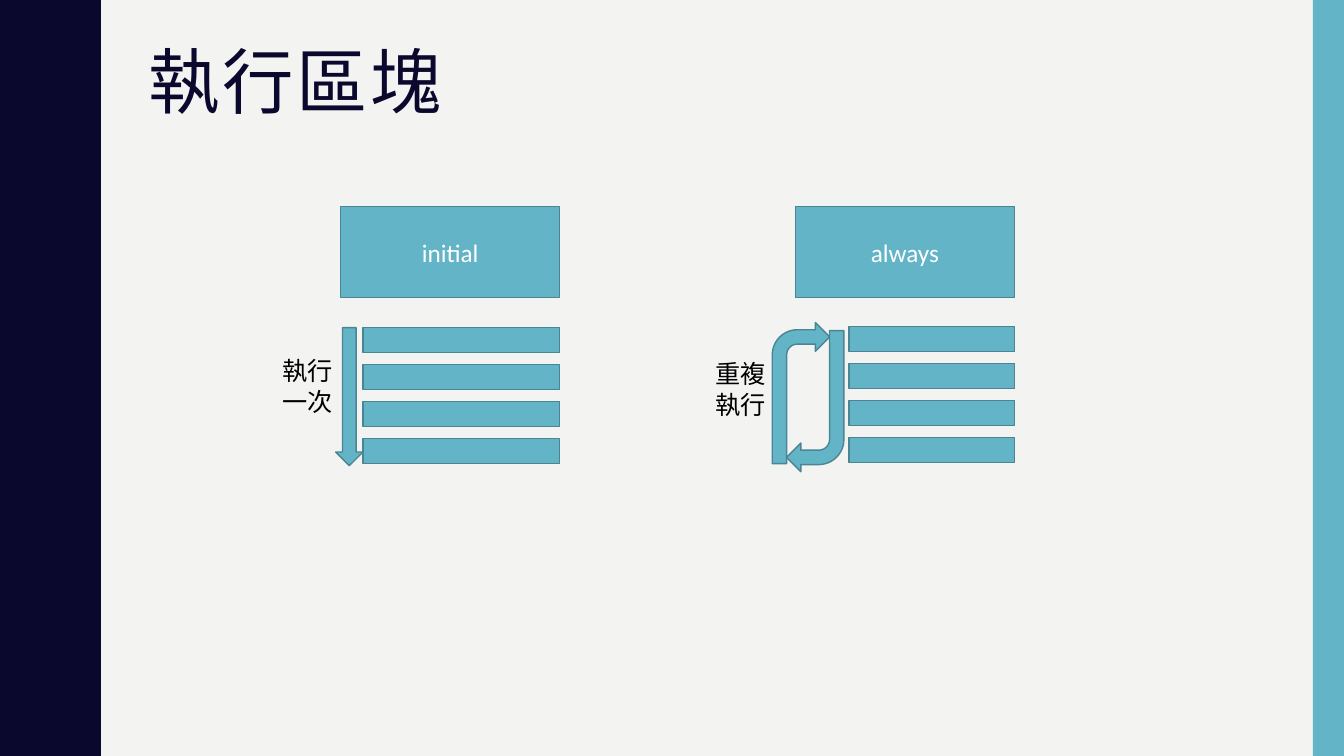
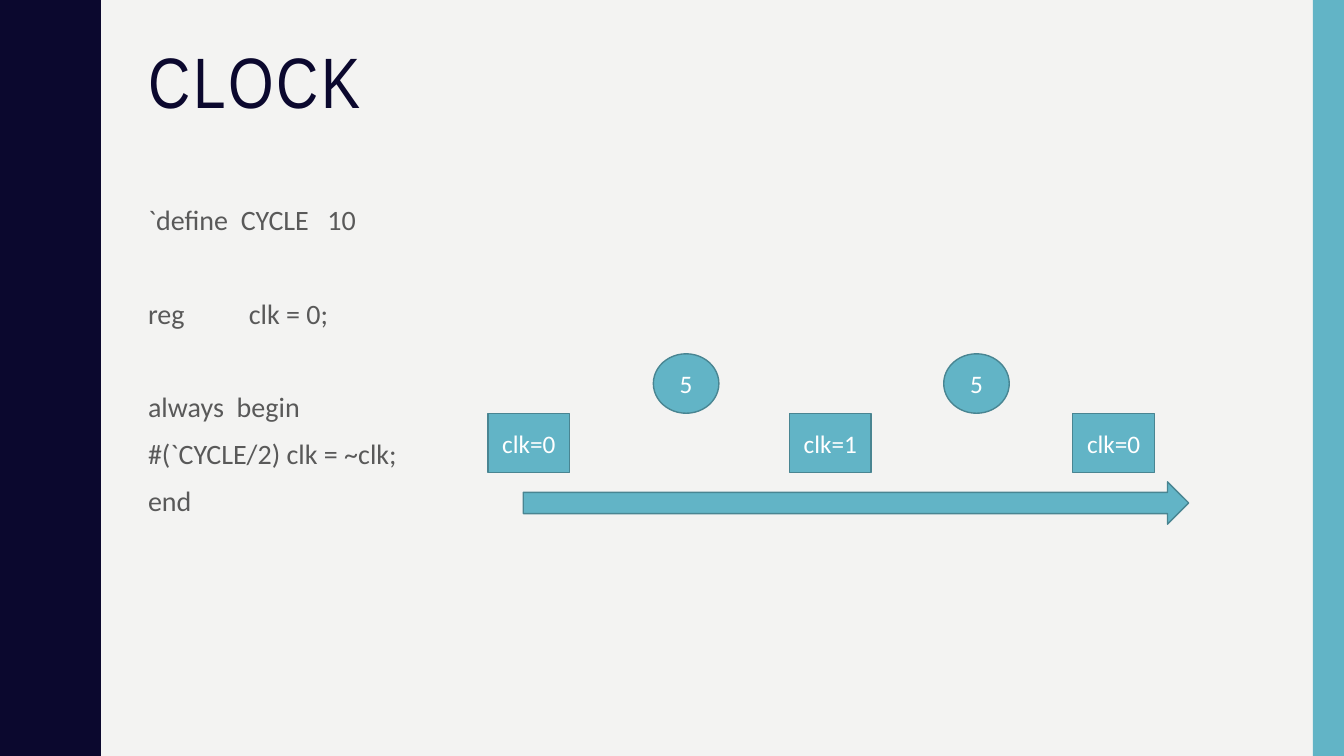
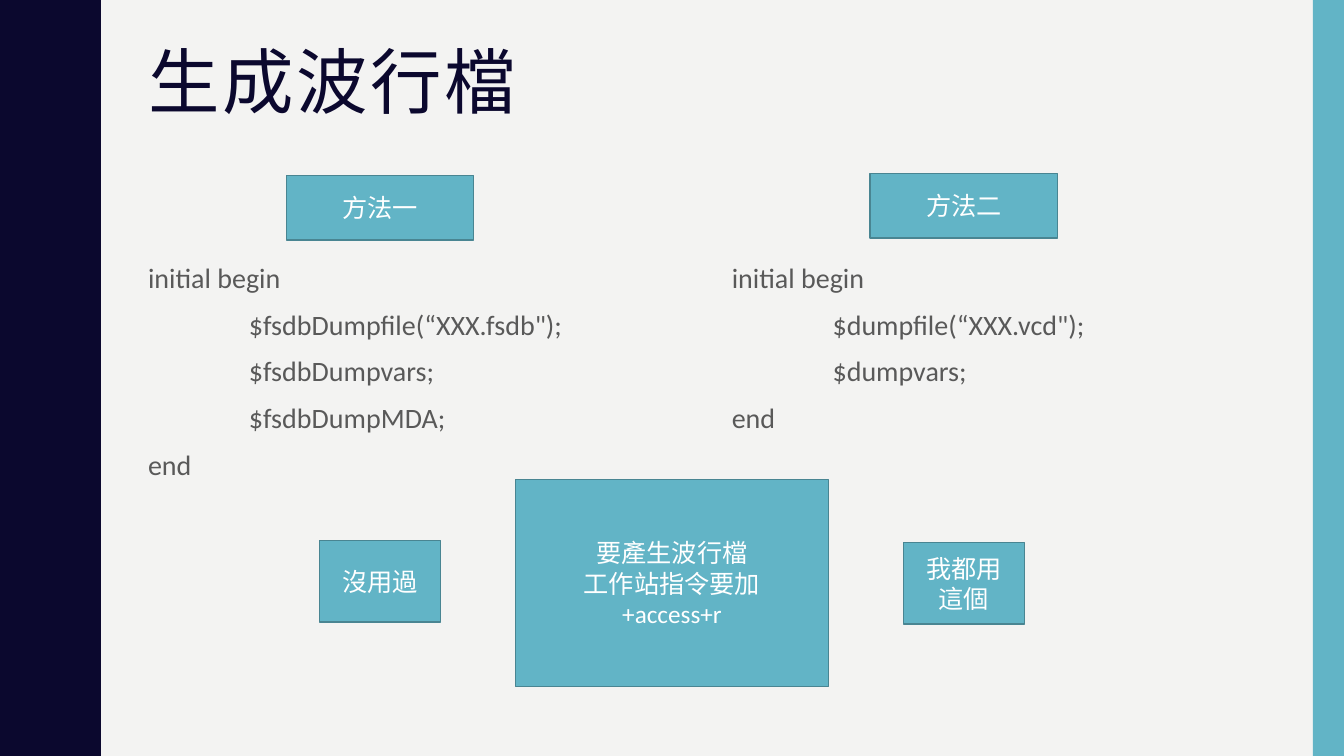
from dataclasses import dataclass

from lxml.etree import SubElement
from pptx import Presentation
from pptx.dml.color import RGBColor
from pptx.enum.shapes import MSO_SHAPE as Preset
from pptx.enum.text import MSO_ANCHOR as Anchor, PP_ALIGN as Align
from pptx.oxml.ns import qn
from pptx.util import Inches, Pt


@dataclass(frozen=True)
class Theme:
    """Colours, fonts and type sizes of the deck."""
    paper: str = "F3F3F2"
    navy: str = "0B082E"
    teal: str = "62B4C6"
    outline: str = "498592"
    code: str = "595959"
    white: str = "FFFFFF"
    black: str = "000000"
    title_font: str = "Arial Narrow"
    body_font: str = "Calibri"
    title_size: int = 51
    code_size: int = 20
    label_size: int = 18


@dataclass(frozen=True)
class CodeLine:
    """A line of code; indent and tab stops are in inches, space in points."""
    text: str
    indent: float = 0
    space: float = 7
    stops: tuple = ()


THEME = Theme()
WIDTH, HEIGHT = 13.33, 7.5
WAVE_PERIOD = 1.5
WAVE_RISE = [(0.78, 0), (0.78, 0.07), (0.79, 0.14), (0.8, 0.2), (0.81, 0.25),
             (0.83, 0.29), (0.85, 0.33), (0.87, 0.38), (0.89, 0.42), (0.91, 0.46),
             (0.93, 0.5), (0.95, 0.55), (0.96, 0.61), (0.97, 0.68)]
BLANK_LINE_SPACE = 40.4


def inches(*lengths):
    """Convert several lengths to Inches."""
    return [Inches(length) for length in lengths]


def paint(shape, fill, line=None):
    """Set a flat fill and an optional one-point outline."""
    shape.shadow.inherit = False
    shape.fill.solid()
    shape.fill.fore_color.rgb = RGBColor.from_string(fill)
    if line:
        shape.line.color.rgb = RGBColor.from_string(line)
        shape.line.width = Pt(1)
    else:
        shape.line.fill.background()


def write(para, text, size, color, font=THEME.body_font):
    """Add one styled run to a paragraph and return it."""
    span = para.add_run()
    span.text = text
    span.font.size = Pt(size)
    span.font.name = font
    span.font.color.rgb = RGBColor.from_string(color)
    return span


def add_paragraphs(frame, count):
    """Return the given number of paragraphs of a text frame."""
    return [frame.paragraphs[0]] + [frame.add_paragraph() for _ in range(count - 1)]


def add_block(shapes, place, lines=(), preset=Preset.RECTANGLE):
    """Draw a teal shape with centred white lines of text."""
    block = shapes.add_shape(preset, *inches(*place))
    paint(block, THEME.teal, THEME.outline)
    if lines:
        frame = block.text_frame
        frame.vertical_anchor = Anchor.MIDDLE
        for para, text in zip(add_paragraphs(frame, len(lines)), lines):
            para.alignment = Align.CENTER
            write(para, text, THEME.label_size, THEME.white)
    return block


def add_text_frame(shapes, place):
    """Add a wrapping text box and return its frame."""
    frame = shapes.add_textbox(*inches(*place)).text_frame
    frame.word_wrap = True
    return frame


def add_label(shapes, left, top, text):
    """Add a narrow black label that wraps after two characters."""
    frame = add_text_frame(shapes, (left, top, 0.9, 0.71))
    write(frame.paragraphs[0], text, THEME.label_size, THEME.black)


def add_bars(shapes, left, top, width):
    """Stack four evenly spaced bars that stand for statements."""
    for row in range(4):
        add_block(shapes, (left, top + row * 0.367, width, 0.25))


def add_code(page, place, lines):
    """Write lines of code, one paragraph each."""
    frame = add_text_frame(page.shapes, place)
    for para, line in zip(add_paragraphs(frame, len(lines)), lines):
        para.line_spacing = 1.1
        para.space_before = Pt(line.space)
        write(para, line.text, THEME.code_size, THEME.code)
        settings = para._p.get_or_add_pPr()
        settings.set("marL", str(Inches(line.indent)))
        if line.stops:
            stops = SubElement(settings, qn("a:tabLst"))
            for stop in line.stops:
                SubElement(stops, qn("a:tab"), pos=str(Inches(stop)), algn="l")


def add_wave(page):
    """Draw the navy band with its wavy right edge."""
    fall = [(x, WAVE_PERIOD - y) for x, y in reversed(WAVE_RISE[1:])]
    period = WAVE_RISE + [(0.97, WAVE_PERIOD / 2)] + fall
    edge = [(x, y + turn * WAVE_PERIOD) for turn in range(5) for x, y in period]
    outline = page.shapes.build_freeform(0, 0, scale=Inches(1))
    outline.add_line_segments(edge + [(0.78, HEIGHT), (0, HEIGHT)], close=True)
    paint(outline.convert_to_shape(), THEME.navy)


def add_page(deck, title):
    """Add a slide with the two side bands and its title."""
    page = deck.slides.add_slide(deck.slide_layouts[6])
    add_wave(page)
    band = page.shapes.add_shape(Preset.RECTANGLE, *inches(13.02, 0, 0.31, HEIGHT))
    paint(band, THEME.teal)
    para = add_text_frame(page.shapes, (1.37, 0.42, 11.13, 1.63)).paragraphs[0]
    para.line_spacing = 0.9
    span = write(para, title, THEME.title_size, THEME.navy, THEME.title_font)
    span.font._element.set("spc", "200")
    return page


def build_blocks_page(deck):
    """Compare the initial and always blocks."""
    page = add_page(deck, "執行區塊")

    once = page.shapes.add_group_shape().shapes
    add_block(once, (3.38, 2.05, 2.17, 0.9), ["initial"])
    add_block(once, (3.33, 3.25, 0.27, 1.37), preset=Preset.DOWN_ARROW)
    add_bars(once, 3.6, 3.25, 1.95)
    add_label(once, 2.7, 3.48, "執行一次")

    loop = page.shapes.add_group_shape().shapes
    add_block(loop, (7.89, 2.05, 2.17, 0.9), ["always"])
    add_bars(loop, 8.42, 3.24, 1.64)
    add_block(loop, (7.66, 3.2, 0.57, 1.4), preset=Preset.BENT_ARROW)
    back = add_block(loop, (7.8, 3.28, 0.57, 1.4), preset=Preset.BENT_ARROW)
    back.rotation = 180
    add_label(loop, 7, 3.51, "重複執行")


def build_clock_page(deck):
    """Show the clock code beside its timeline."""
    page = add_page(deck, "CLOCK")
    add_code(page, (1.37, 1.93, 11.13, 3.93), [
        CodeLine("`define\tCYCLE\t10", stops=(0.92, 1.78)),
        CodeLine("reg\tclk = 0;", space=BLANK_LINE_SPACE, stops=(1,)),
        CodeLine("always\tbegin", space=BLANK_LINE_SPACE, stops=(0.88,)),
        CodeLine("#(`CYCLE/2) clk = ~clk;"),
        CodeLine("end"),
    ])
    add_block(page.shapes, (5.19, 4.78, 6.6, 0.42), preset=Preset.RIGHT_ARROW)
    for left, state in [(4.84, "clk=0"), (7.83, "clk=1"), (10.64, "clk=0")]:
        add_block(page.shapes, (left, 4.1, 0.81, 0.59), [state])
    for left in (6.48, 9.36):
        add_block(page.shapes, (left, 3.51, 0.65, 0.59), ["5"], Preset.OVAL)


def build_waveform_page(deck):
    """Set the two ways of dumping a waveform side by side."""
    page = add_page(deck, "生成波行檔")
    methods = [
        (1.37, "方法一", 1.74, ['$fsdbDumpfile(“XXX.fsdb");', "$fsdbDumpvars;",
                             "$fsdbDumpMDA;"], ["沒用過"], 5.36),
        (7.16, "方法二", 1.72, ['$dumpfile(“XXX.vcd");', "$dumpvars;"],
         ["我都用", "這個"], 5.38),
    ]
    for left, name, name_top, calls, remark, remark_top in methods:
        body = [CodeLine(call, indent=1) for call in calls]
        add_code(page, (left, 2.5, 4.8, 3.93),
                 [CodeLine("initial begin"), *body, CodeLine("end")])
        add_block(page.shapes, (left + 1.47, name_top, 1.86, 0.64), [name])
        add_block(page.shapes, (left + 1.8, remark_top, 1.2, 0.81), remark)
    add_block(page.shapes, (5.11, 4.76, 3.11, 2.05),
              ["要產生波行檔", "工作站指令要加", "+access+r"])


def main():
    """Build and save the deck."""
    deck = Presentation()
    deck.slide_width, deck.slide_height = inches(WIDTH, HEIGHT)
    backdrop = deck.slide_master.background.fill
    backdrop.solid()
    backdrop.fore_color.rgb = RGBColor.from_string(THEME.paper)
    build_blocks_page(deck)
    build_clock_page(deck)
    build_waveform_page(deck)
    deck.save("out.pptx")


main()
